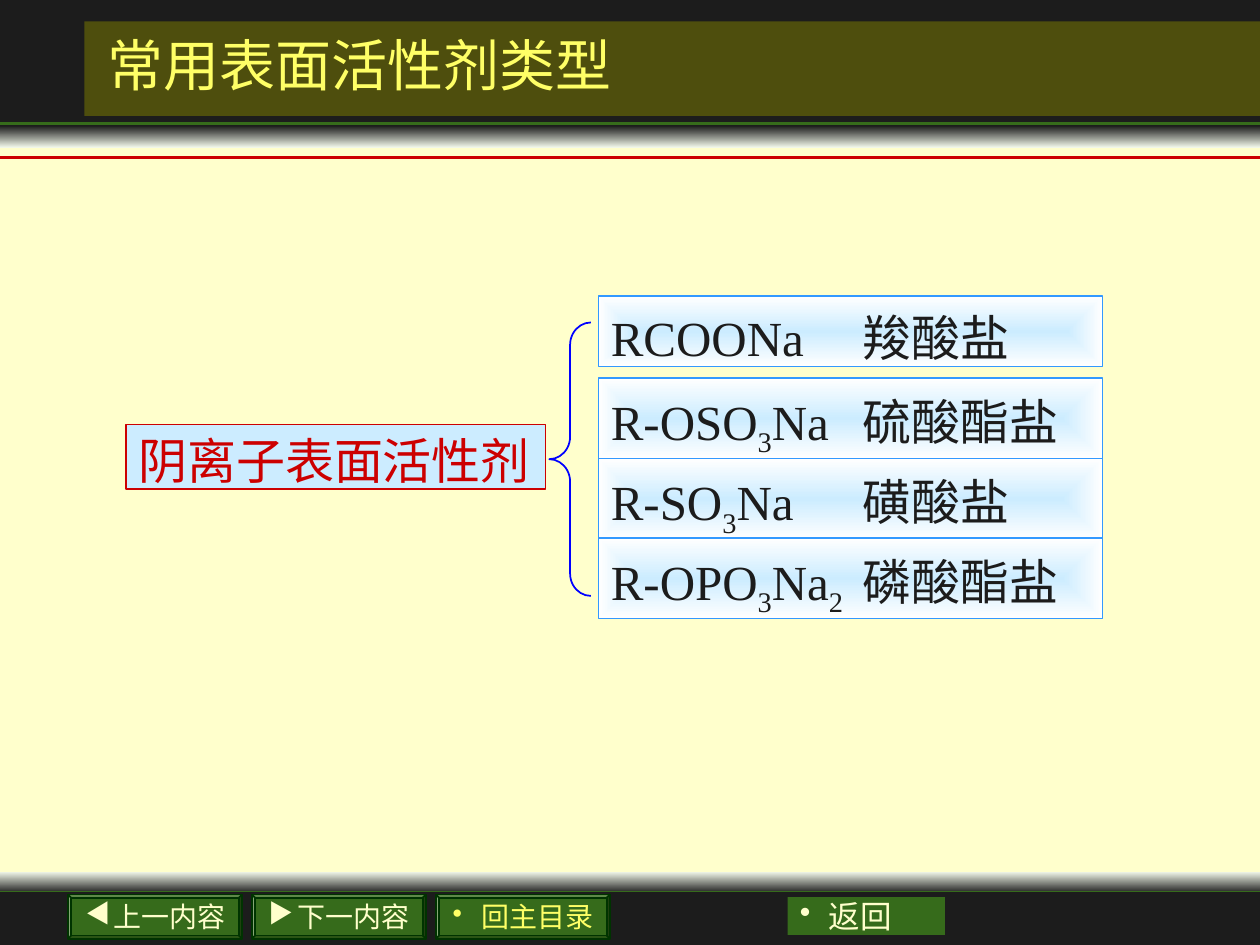
import pptx
import pptx.util
from pptx.dml.color import RGBColor
from pptx.enum.shapes import MSO_CONNECTOR, MSO_SHAPE
from pptx.enum.text import MSO_ANCHOR, MSO_AUTO_SIZE, PP_ALIGN
from pptx.oxml.ns import qn
from lxml import etree

Inches, Pt = pptx.util.Inches, pptx.util.Pt

CREAM = RGBColor(0xFF, 0xFF, 0xCC)
YELLOW = RGBColor(0xFF, 0xFF, 0x66)
DARK = RGBColor(0x1C, 0x1C, 0x1C)
PALE = RGBColor(0xF1, 0xF7, 0xE9)
WHITE = RGBColor(0xFF, 0xFF, 0xFF)
GREEN = RGBColor(0x36, 0x6B, 0x1B)
DARK_GREEN = RGBColor(0x00, 0x33, 0x00)
OLIVE = RGBColor(0x80, 0x80, 0x00)
RED = RGBColor(0xCC, 0x00, 0x00)
ICE = RGBColor(0xCC, 0xEC, 0xFF)
SKY = RGBColor(0x33, 0x99, 0xFF)
BLUE = RGBColor(0x00, 0x00, 0xFF)
SERIF, HAN = "Times New Roman", "Noto Sans CJK SC"

# Content: digits after the first letter of a formula are subscripts
TITLE = "常用表面活性剂类型"
GROUP = "阴离子表面活性剂"
ROWS = [  # formula parts, name, top, height
    (["RCOONa"], "羧酸盐", 2.35, 0.56),
    (["R-OSO", "3", "Na"], "硫酸酯盐", 3.0, 0.64),
    (["R-SO", "3", "Na"], "磺酸盐", 3.64, 0.64),
    (["R-OPO", "3", "Na", "2"], "磷酸酯盐", 4.27, 0.64),
]
BUTTONS = [("◀", "上一内容", CREAM), ("▶", "下一内容", CREAM), ("•", "回主目录", YELLOW)]
BACK = ("•", "返回", CREAM)

prs = pptx.Presentation()
prs.slide_width, prs.slide_height = Inches(10), Inches(7.5)
s = prs.slides.add_slide(prs.slide_layouts[5])
s.background.fill.solid()
s.background.fill.fore_color.rgb = CREAM


def add_xml(parent, tag, **attrs):
    return etree.SubElement(parent, qn(tag), attrs)


def add_box(x, y, w, h, fill=None, line=None, kind=MSO_SHAPE.RECTANGLE):
    sp = s.shapes.add_shape(kind, Inches(x), Inches(y), Inches(w), Inches(h))
    sp.shadow.inherit = False
    if fill is None:
        sp.fill.background()
    else:
        sp.fill.solid()
        sp.fill.fore_color.rgb = fill
    if line is None:
        sp.line.fill.background()
    else:
        sp.line.color.rgb = line
        sp.line.width = Pt(1)
    return sp


def set_gradient(sp, first, last):
    sp.fill.gradient()
    sp.fill.gradient_angle = 270
    for stop, color, position in zip(sp.fill.gradient_stops, (first, last), (0, 1)):
        stop.color.rgb = color
        stop.position = position


def add_rule(y, color, width):
    line = s.shapes.add_connector(
        MSO_CONNECTOR.STRAIGHT, Inches(0), Inches(y), Inches(10), Inches(y))
    line.line.color.rgb = color
    line.line.width = Pt(width)
    add_xml(line._element.spPr, "a:effectLst")


def start_text(sp, anchor=MSO_ANCHOR.TOP, inset=0.1):
    tf = sp.text_frame
    tf.word_wrap = True
    tf.vertical_anchor = anchor
    tf.margin_left = tf.margin_right = Inches(inset)
    tf.margin_top = tf.margin_bottom = 0
    p = tf.paragraphs[0]
    p.alignment = PP_ALIGN.LEFT
    return p


def set_font(p, size, color, name=SERIF):
    p.font.size = Pt(size)
    p.font.color.rgb = color
    p.font.name = name
    add_xml(p._p.pPr.find(qn("a:defRPr")), "a:ea", typeface=HAN)


def set_bullet(p, char, color):
    pPr = p._p.get_or_add_pPr()
    pPr.set("marL", str(Inches(0.23)))
    pPr.set("indent", str(-Inches(0.23)))
    add_xml(add_xml(pPr, "a:buClr"), "a:srgbClr", val=str(color))
    add_xml(pPr, "a:buChar", char=char)


# Header and footer bands
set_gradient(add_box(0, 6.92, 10, 0.17), PALE, DARK)
add_rule(7.08, GREEN, 1.5)
add_box(0, 7.08, 10, 0.42, DARK)
set_gradient(add_box(0, 1, 10, 0.17), DARK, PALE)
add_rule(1.25, RED, 2.25)
add_box(0, 0, 10, 1, DARK)
band = add_box(0.67, 0.17, 9.33, 0.75, OLIVE)
add_xml(band._element.spPr.find(".//" + qn("a:srgbClr")), "a:alpha", val="50000")
add_rule(0.98, GREEN, 1.5)

# Navigation buttons
for i, (mark, label, color) in enumerate(BUTTONS):
    sp = add_box(0.54 + 1.46 * i, 7.1, 1.38, 0.35, GREEN, DARK_GREEN, MSO_SHAPE.BEVEL)
    sp.adjustments[0] = 0.07
    p = start_text(sp, MSO_ANCHOR.MIDDLE, 0.05)
    p.alignment = PP_ALIGN.CENTER
    p.add_run().text = label
    set_bullet(p, mark, color)
    set_font(p, 16, color)

mark, label, color = BACK
p = start_text(add_box(6.25, 7.12, 1.25, 0.3, GREEN), MSO_ANCHOR.MIDDLE)
p.add_run().text = label
set_bullet(p, mark, color)
set_font(p, 18, color, "Arial")

# Title, raised above the bands
title = s.shapes.title
s.shapes._spTree.append(title._element)
title.left, title.top = Inches(0.75), Inches(0.17)
title.width, title.height = Inches(8.5), Inches(0.67)
title.text_frame.auto_size = MSO_AUTO_SIZE.NONE
p = start_text(title, MSO_ANCHOR.MIDDLE)
p.add_run().text = TITLE
set_font(p, 32, YELLOW)

# Group label and brace
p = start_text(add_box(1, 3.37, 3.33, 0.51, ICE, RED))
p.add_run().text = GROUP
p.line_spacing = 1.1
set_font(p, 28, RED, HAN)
brace = add_box(4.36, 2.56, 0.33, 2.17, line=BLUE, kind=MSO_SHAPE.LEFT_BRACE)
brace.adjustments[0] = 0.54

# Formula rows
for parts, name, top, height in ROWS:
    sp = add_box(4.75, top, 4, height, ICE, SKY)
    set_gradient(sp, ICE, WHITE)
    grad = sp._element.spPr.find(qn("a:gradFill"))
    lin = grad.find(qn("a:lin"))
    path = etree.Element(qn("a:path"), path="rect")
    add_xml(path, "a:fillToRect", l="50000", t="50000", r="50000", b="50000")
    grad.replace(lin, path)

    p = start_text(sp)
    p.line_spacing = 1.2
    add_xml(add_xml(p._p.get_or_add_pPr(), "a:tabLst"), "a:tab",
            pos=str(Inches(2)), algn="l")
    set_font(p, 28, DARK)
    for i, part in enumerate(parts):
        r = p.add_run()
        r.text = part + ("\t" if i == len(parts) - 1 else "")
        if part.isdigit():
            r._r.get_or_add_rPr().set("baseline", "-25000")
    r = p.add_run()
    r.text = name
    r.font.name = HAN

prs.save("out.pptx")
